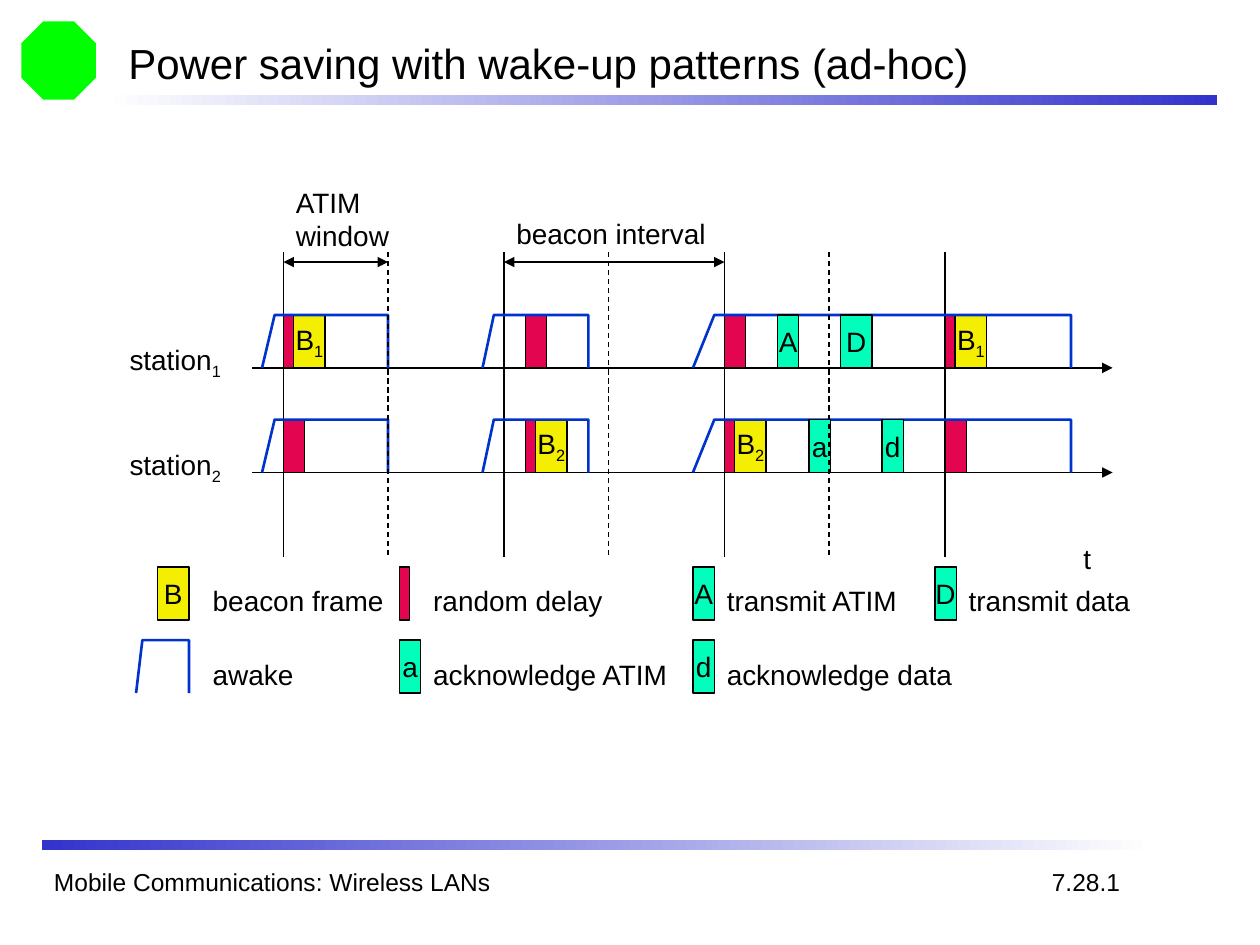
from dataclasses import dataclass

from lxml.etree import SubElement
from pptx import Presentation
from pptx.dml.color import RGBColor
from pptx.enum.dml import MSO_LINE
from pptx.enum.shapes import MSO_CONNECTOR, MSO_SHAPE
from pptx.enum.text import MSO_ANCHOR, MSO_AUTO_SIZE, PP_ALIGN
from pptx.oxml.ns import qn
from pptx.util import Inches, Pt

FONT = "Arial"
BLACK, WHITE, BLUE, GREEN = "000000", "FFFFFF", "3333CC", "00FF00"
YELLOW, RED, TEAL, OUTLINE = "F4EE00", "E3054F", "01FFBC", "0033CC"

FRAME_HEIGHT = 0.42
NARROW, MEDIUM, WIDE = 0.08, 0.17, 0.25
STATION_TOPS = {1: 2.5, 2: 3.33}
FIRST_BEACON, BEACON_INTERVAL, ATIM_WINDOW = 2.25, 1.75, 0.83
LINE_TOP, LINE_BOTTOM, ARROW_TOP = 2, 4.42, 2.08
LEGEND_TOPS = (4.5, 5.08)


@dataclass(frozen=True)
class Frame:
    left: float
    top: float
    width: float
    color: str
    label: str = ""


@dataclass(frozen=True)
class Awake:
    left: float
    top: float
    ramp: float
    width: float


@dataclass(frozen=True)
class Label:
    text: str
    left: float
    top: float
    width: float
    height: float = 0.37


UPPER, LOWER = STATION_TOPS.values()

BEACONS = [
    Frame(2.33, UPPER, WIDE, YELLOW, "B_1"),
    Frame(7.58, UPPER, WIDE, YELLOW, "B_1"),
    Frame(4.25, LOWER, WIDE, YELLOW, "B_2"),
    Frame(5.83, LOWER, WIDE, YELLOW, "B_2"),
]
DELAYS = [
    Frame(2.25, UPPER, NARROW, RED),
    Frame(4.17, UPPER, MEDIUM, RED),
    Frame(5.75, UPPER, MEDIUM, RED),
    Frame(7.5, UPPER, NARROW, RED),
    Frame(2.25, LOWER, MEDIUM, RED),
    Frame(4.17, LOWER, NARROW, RED),
    Frame(5.75, LOWER, NARROW, RED),
    Frame(7.5, LOWER, MEDIUM, RED),
]
EXCHANGES = [
    Frame(6.17, UPPER, MEDIUM, TEAL, "A"),
    Frame(6.67, UPPER, WIDE, TEAL, "D"),
    Frame(6.42, LOWER, MEDIUM, TEAL, "a"),
    Frame(7, LOWER, MEDIUM, TEAL, "d"),
]
LEGEND_FRAMES = [
    Frame(1.25, LEGEND_TOPS[0], WIDE, YELLOW, "B"),
    Frame(3.17, LEGEND_TOPS[0], NARROW, RED),
    Frame(5.5, LEGEND_TOPS[0], MEDIUM, TEAL, "A"),
    Frame(7.42, LEGEND_TOPS[0], MEDIUM, TEAL, "D"),
    Frame(3.17, LEGEND_TOPS[1], MEDIUM, TEAL, "a"),
    Frame(5.5, LEGEND_TOPS[1], MEDIUM, TEAL, "d"),
]
AWAKE_PERIODS = [
    Awake(left, top, ramp, width)
    for top in STATION_TOPS.values()
    for left, ramp, width in ((2.08, 0.1, 1), (3.83, 0.09, 0.84), (5.5, 0.17, 3))
] + [Awake(1.08, LEGEND_TOPS[1], 0.05, 0.42)]
LABELS = [
    Label("ATIM\nwindow", 2.25, 1.42, 0.96, 0.64),
    Label("beacon interval", 4, 1.67, 1.72),
    Label("t", 8.5, 4.25, 0.27),
    Label("beacon frame", 1.59, 4.58, 1.6),
    Label("random delay", 3.34, 4.58, 1.56),
    Label("transmit ATIM", 5.67, 4.58, 1.6),
    Label("transmit data", 7.59, 4.58, 1.5),
    Label("awake", 1.59, 5.17, 0.86),
    Label("acknowledge ATIM", 3.34, 5.17, 2.1),
    Label("acknowledge data", 5.67, 5.17, 2.03),
]


def rgb(color: str) -> RGBColor:
    return RGBColor.from_string(color)


def write_text(shape, text: str, *, size=16, align=PP_ALIGN.LEFT,
               anchor=MSO_ANCHOR.TOP, wrap=False) -> None:
    """Write one paragraph per line; a part after an underscore is a subscript."""
    frame = shape.text_frame
    frame.word_wrap = wrap
    frame.vertical_anchor = anchor
    for index, line in enumerate(text.split("\n")):
        paragraph = frame.add_paragraph() if index else frame.paragraphs[0]
        paragraph.alignment = align
        for position, part in enumerate(line.split("_")):
            run = paragraph.add_run()
            run.text = part
            run.font.name = FONT
            run.font.size = Pt(size)
            run.font.color.rgb = rgb(BLACK)
            if position:
                run._r.get_or_add_rPr().set("baseline", "-25000")


def add_label(slide, label: Label, **text_format) -> None:
    box = slide.shapes.add_textbox(Inches(label.left), Inches(label.top),
                                   Inches(label.width), Inches(label.height))
    write_text(box, label.text, **text_format)
    if not text_format.get("wrap"):
        box.text_frame.auto_size = MSO_AUTO_SIZE.SHAPE_TO_FIT_TEXT


def add_plain_shape(slide, preset, left: float, top: float, width: float, height: float):
    shape = slide.shapes.add_shape(preset, Inches(left), Inches(top),
                                   Inches(width), Inches(height))
    shape.shadow.inherit = False
    shape.line.fill.background()
    return shape


def add_frame(slide, frame: Frame) -> None:
    shape = add_plain_shape(slide, MSO_SHAPE.RECTANGLE, frame.left, frame.top,
                            frame.width, FRAME_HEIGHT)
    shape.fill.solid()
    shape.fill.fore_color.rgb = rgb(frame.color)
    shape.line.color.rgb = rgb(BLACK)
    shape.line.width = Pt(0.75)
    if frame.label:
        write_text(shape, frame.label, align=PP_ALIGN.CENTER, anchor=MSO_ANCHOR.MIDDLE)


def add_gradient_bar(slide, left: float, top: float, colors: tuple[str, str]) -> None:
    bar = add_plain_shape(slide, MSO_SHAPE.RECTANGLE, left, top, 8.83, 0.08)
    bar.fill.gradient()
    bar.fill.gradient_angle = 0
    for stop, color in zip(bar.fill.gradient_stops, colors):
        stop.color.rgb = rgb(color)


def add_line(slide, start: tuple[float, float], end: tuple[float, float], *,
             dashed=False, arrows: tuple[str, ...] = ()) -> None:
    """Draw a line; arrows names the ends with a head: headEnd, tailEnd."""
    line = slide.shapes.add_connector(MSO_CONNECTOR.STRAIGHT,
                                      *map(Inches, (*start, *end)))
    line.line.color.rgb = rgb(BLACK)
    line.line.width = Pt(0.75)
    if dashed:
        line.line.dash_style = MSO_LINE.DASH
    for arrow in arrows:
        SubElement(line.line._get_or_add_ln(), qn(f"a:{arrow}"), type="triangle")
    SubElement(line._element.spPr, qn("a:effectLst"))


def add_awake(slide, awake: Awake) -> None:
    bottom, right = awake.top + FRAME_HEIGHT, awake.left + awake.width
    builder = slide.shapes.build_freeform(Inches(awake.left), Inches(bottom))
    corners = [(awake.left + awake.ramp, awake.top), (right, awake.top), (right, bottom)]
    builder.add_line_segments([(Inches(x), Inches(y)) for x, y in corners], close=False)
    outline = builder.convert_to_shape()
    outline.shadow.inherit = False
    outline.fill.background()
    outline.line.color.rgb = rgb(OUTLINE)
    outline.line.width = Pt(1.5)


def main() -> None:
    presentation = Presentation()
    presentation.slide_width, presentation.slide_height = Inches(10), Inches(7.5)
    slide = presentation.slides.add_slide(presentation.slide_layouts[6])

    emblem = add_plain_shape(slide, MSO_SHAPE.OCTAGON, 0.17, 0.17, 0.59, 0.62)
    emblem.fill.solid()
    emblem.fill.fore_color.rgb = rgb(GREEN)
    add_gradient_bar(slide, 0.83, 0.75, (WHITE, BLUE))
    add_gradient_bar(slide, 0.33, 6.67, (BLUE, WHITE))
    add_label(slide, Label("Power saving with wake-up patterns (ad-hoc)", 0.92, 0.25, 8.5, 0.5),
              size=24, anchor=MSO_ANCHOR.MIDDLE, wrap=True)
    add_label(slide, Label("Mobile Communications: Wireless LANs", 0.33, 6.83, 6.75, 0.33),
              size=14, wrap=True)
    add_label(slide, Label("7.28.1", 8.25, 6.83, 0.76, 0.34), size=14)

    for number, top in STATION_TOPS.items():
        axis = top + FRAME_HEIGHT
        add_line(slide, (2, axis), (8.83, axis), arrows=("tailEnd",))
        add_label(slide, Label(f"station_{number}", 0.93, top + 0.17, 1, 0.41))
    for frame in BEACONS:
        add_frame(slide, frame)
    beacon_times = [FIRST_BEACON + BEACON_INTERVAL * index for index in range(4)]
    for time in beacon_times:
        add_line(slide, (time, LINE_TOP), (time, LINE_BOTTOM))
    for frame in DELAYS + LEGEND_FRAMES:
        add_frame(slide, frame)
    for awake in AWAKE_PERIODS:
        add_awake(slide, awake)
    for frame in EXCHANGES:
        add_frame(slide, frame)
    for time in beacon_times[:3]:
        window_end = time + ATIM_WINDOW
        add_line(slide, (window_end, LINE_TOP), (window_end, LINE_BOTTOM), dashed=True)
    for start, length in ((beacon_times[0], ATIM_WINDOW), (beacon_times[1], BEACON_INTERVAL)):
        add_line(slide, (start, ARROW_TOP), (start + length, ARROW_TOP),
                 arrows=("headEnd", "tailEnd"))
    for label in LABELS:
        add_label(slide, label)

    presentation.save("out.pptx")


if __name__ == "__main__":
    main()
